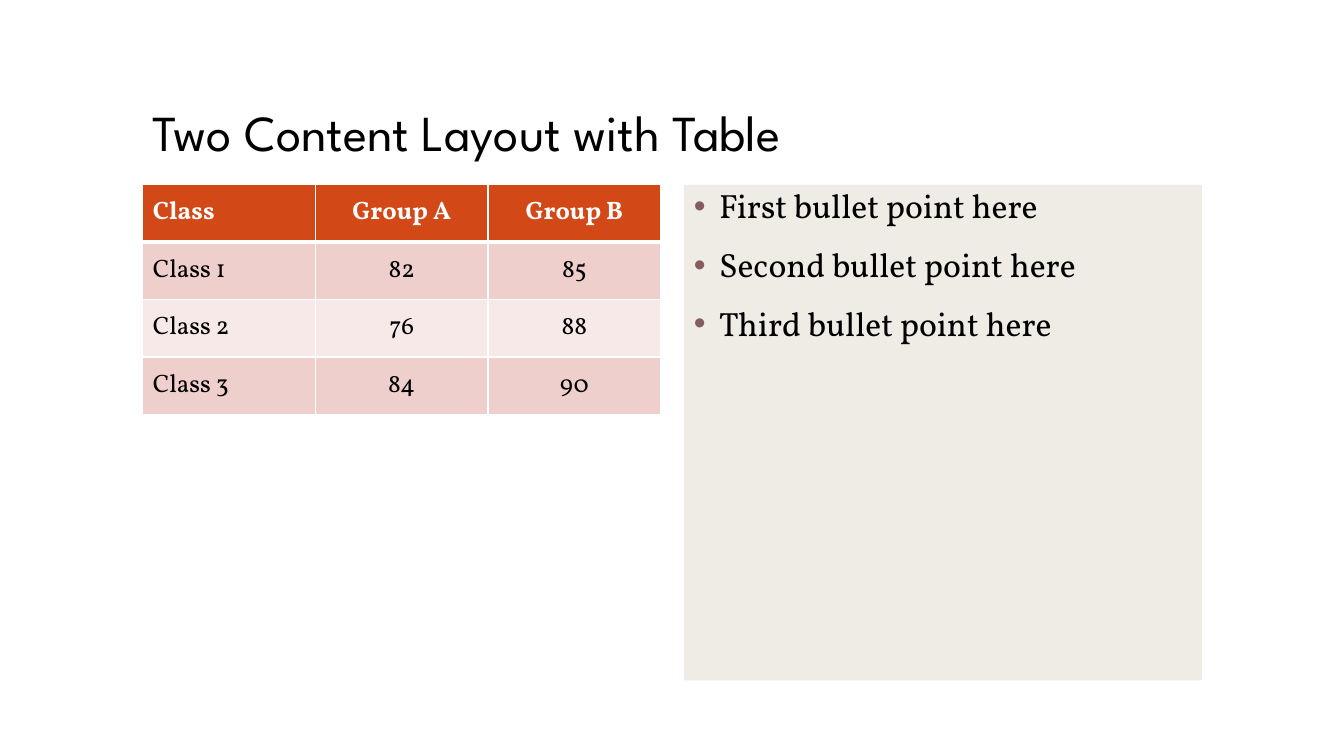
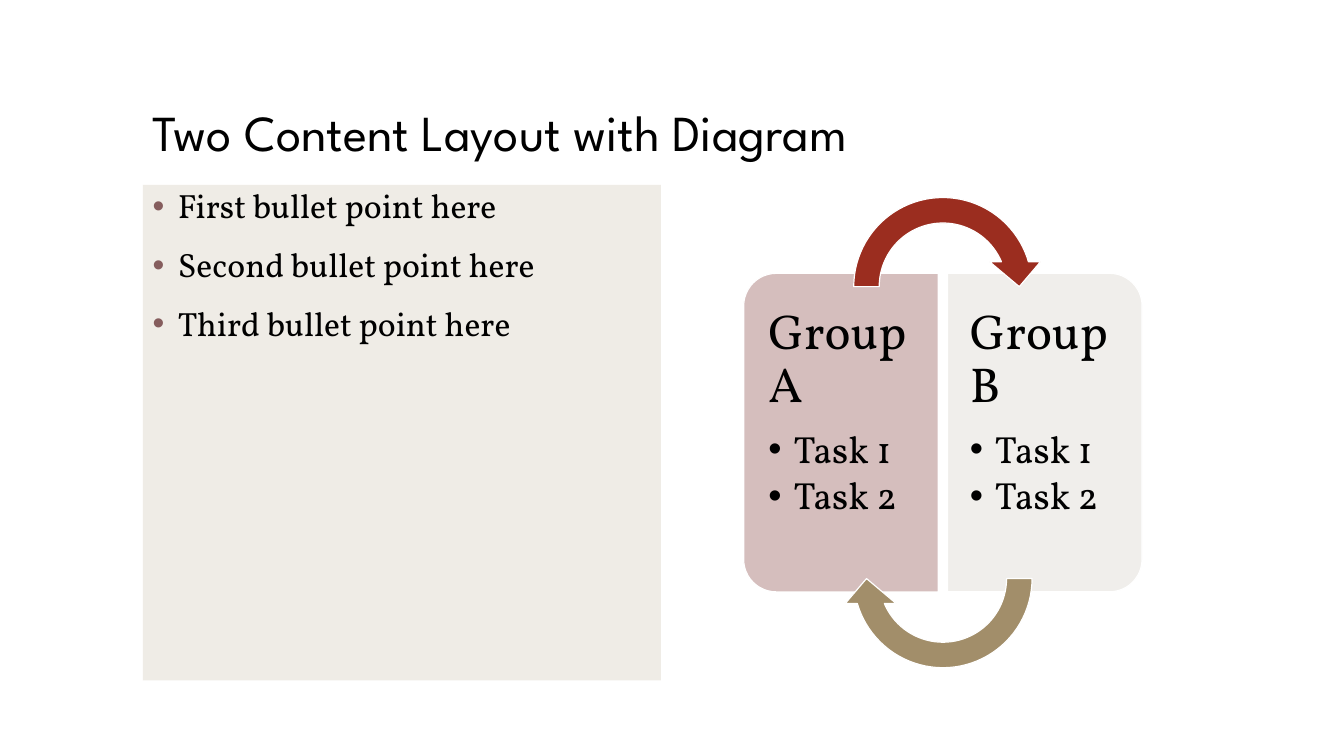
from collections import namedtuple

from lxml.etree import SubElement
from pptx import Presentation
from pptx.dml.color import RGBColor
from pptx.enum.shapes import MSO_SHAPE
from pptx.enum.text import MSO_ANCHOR, PP_ALIGN
from pptx.oxml.ns import qn
from pptx.util import Pt

BLACK = RGBColor(0x00, 0x00, 0x00)
WHITE = RGBColor(0xFF, 0xFF, 0xFF)
ORANGE = RGBColor(0xD3, 0x48, 0x17)
PINK = RGBColor(0xEF, 0xCF, 0xCC)
PALE_PINK = RGBColor(0xF7, 0xE9, 0xE8)
CREAM = RGBColor(0xE9, 0xE5, 0xDC)
MAUVE = RGBColor(0x85, 0x5D, 0x5D)
DUSTY_ROSE = RGBColor(0xD5, 0xBE, 0xBD)
LIGHT_STONE = RGBColor(0xF0, 0xEE, 0xEB)
RED = RGBColor(0x9B, 0x2D, 0x1F)
TAN = RGBColor(0xA2, 0x8E, 0x6A)

TITLE_FONT = "League Spartan"
BODY_FONT = "Vollkorn"

# All lengths are in points.
Box = namedtuple("Box", "left top width height")
TITLE_BOX = Box(102, 29.5, 756, 90)
LEFT_BOX = Box(102, 132, 370, 354)
RIGHT_BOX = LEFT_BOX._replace(left=488.5)

BULLET_POINTS = ["First bullet point here", "Second bullet point here",
                 "Third bullet point here"]
SCORES = [["Class", "Group A", "Group B"],
          ["Class 1", "82", "85"],
          ["Class 2", "76", "88"],
          ["Class 3", "84", "90"]]
TASKS = ["Task 1", "Task 2"]


def in_points(box):
    return [Pt(length) for length in box]


def write_paragraph(frame, text, size, font=BODY_FONT, color=BLACK, bold=False,
                    align=PP_ALIGN.LEFT, line_spacing=0.9, before=0, after=0,
                    bullet_color=None):
    """Fill the frame's empty first paragraph, or add another one."""
    paragraph = frame.paragraphs[0]
    if paragraph.runs:
        paragraph = frame.add_paragraph()
    paragraph.alignment = align
    paragraph.line_spacing = line_spacing
    paragraph.space_before = Pt(before)
    paragraph.space_after = Pt(after)
    run = paragraph.add_run()
    run.text = text
    run.font.name = font
    run.font.size = Pt(size)
    run.font.bold = bold
    run.font.color.rgb = color
    if bullet_color is not None:
        properties = paragraph._p.get_or_add_pPr()
        properties.set("marL", str(Pt(18)))
        properties.set("indent", str(Pt(-18)))
        bullet = SubElement(properties, qn("a:buClr"))
        SubElement(bullet, qn("a:srgbClr"), val=str(bullet_color))
        SubElement(properties, qn("a:buFont"), typeface="Arial")
        SubElement(properties, qn("a:buChar"), char="•")


def add_text_frame(slide, box, anchor=MSO_ANCHOR.TOP, margins=(7.2, 3.6, 7.2, 3.6)):
    frame = slide.shapes.add_textbox(*in_points(box)).text_frame
    frame.word_wrap = True
    frame.vertical_anchor = anchor
    (frame.margin_left, frame.margin_top,
     frame.margin_right, frame.margin_bottom) = in_points(margins)
    return frame


def add_filled_shape(slide, kind, box, fill, outline=None, rotation=0, adjustments=()):
    shape = slide.shapes.add_shape(kind, *in_points(box))
    shape.shadow.inherit = False
    shape.rotation = rotation
    for index, value in enumerate(adjustments):
        shape.adjustments[index] = value
    shape.fill.solid()
    shape.fill.fore_color.rgb = fill
    if outline is None:
        shape.line.fill.background()
    else:
        shape.line.color.rgb = outline
        shape.line.width = Pt(0.85)
    return shape


def add_title_slide(presentation, title):
    """Add a blank slide with the shared title."""
    slide = presentation.slides.add_slide(presentation.slide_layouts[6])
    frame = add_text_frame(slide, TITLE_BOX, anchor=MSO_ANCHOR.BOTTOM)
    write_paragraph(frame, title, 36, font=TITLE_FONT)
    return slide


def add_bullet_panel(slide, box, points):
    panel = add_filled_shape(slide, MSO_SHAPE.RECTANGLE, box, CREAM)
    color = panel.fill._xPr.find(qn("a:solidFill"))[0]
    SubElement(color, qn("a:alpha"), val="70000")
    frame = panel.text_frame
    frame.word_wrap = True
    frame.vertical_anchor = MSO_ANCHOR.TOP
    for point in points:
        write_paragraph(frame, point, 24, before=16, bullet_color=MAUVE)


def set_cell_borders(cell, **widths):
    properties = cell._tc.get_or_add_tcPr()
    for side in "LRTB":
        line = SubElement(properties, qn(f"a:ln{side}"), w=str(Pt(widths.get(side, 1))))
        fill = SubElement(line, qn("a:solidFill"))
        SubElement(fill, qn("a:srgbClr"), val=str(WHITE))


def add_score_table(slide, box, rows, row_height=41):
    column_count = len(rows[0])
    table_box = box._replace(height=row_height * len(rows))
    table = slide.shapes.add_table(len(rows), column_count, *in_points(table_box)).table
    table.horz_banding = False
    table.first_row = False
    for column in table.columns:
        column.width = Pt(box.width / column_count)
    for row_index, row in enumerate(rows):
        table.rows[row_index].height = Pt(row_height)
        is_header = row_index == 0
        fill = ORANGE if is_header else (PALE_PINK, PINK)[row_index % 2]
        for column_index, text in enumerate(row):
            cell = table.cell(row_index, column_index)
            if is_header:
                set_cell_borders(cell, B=3)
            else:
                set_cell_borders(cell, T=3 if row_index == 1 else 1)
            cell.fill.solid()
            cell.fill.fore_color.rgb = fill
            cell.vertical_anchor = MSO_ANCHOR.MIDDLE
            write_paragraph(cell.text_frame, text, 18, line_spacing=1.0,
                            color=WHITE if is_header else BLACK, bold=is_header,
                            align=PP_ALIGN.CENTER if column_index else PP_ALIGN.LEFT)


def add_group_panel(slide, box, name, tasks, fill, is_left):
    """Add a panel rounded on its outer side, with a heading and tasks."""
    # The preset rounds its top, so it is laid out sideways and turned.
    turned = Box(box.left + (box.width - box.height) / 2,
                 box.top + (box.height - box.width) / 2, box.height, box.width)
    add_filled_shape(slide, MSO_SHAPE.ROUND_2_SAME_RECTANGLE, turned, fill, WHITE,
                     rotation=270 if is_left else 90, adjustments=(0.167, 0))
    inset = 6.8
    text_box = Box(box.left + (inset if is_left else 0), box.top + inset,
                   box.width - inset, box.height - 2 * inset)
    outer, inner, vertical = 10.8, 16, 17.5
    left, right = (outer, inner) if is_left else (inner, outer)
    frame = add_text_frame(slide, text_box, margins=(left, vertical, right, vertical))
    write_paragraph(frame, name, 35, after=12.25)
    for task in tasks:
        write_paragraph(frame, task, 27, after=4, bullet_color=BLACK)


def add_group_cycle(slide, box):
    """Add two facing panels joined by an arrow above and one below."""
    panel_width, panel_height, gap = 139, 227.5, 6.5
    pitch = panel_width + gap
    center = box.left + box.width / 2
    panel_top = box.top + (box.height - panel_height) / 2
    panel_left = center - panel_width - gap / 2
    for index, (name, fill) in enumerate([("Group A", DUSTY_ROSE),
                                          ("Group B", LIGHT_STONE)]):
        panel = Box(panel_left + index * pitch, panel_top, panel_width, panel_height)
        add_group_panel(slide, panel, name, TASKS, fill, is_left=index == 0)
    bottom = box.top + box.height - pitch
    for top, fill, rotation in [(box.top, RED, 0), (bottom, TAN, 180)]:
        add_filled_shape(slide, MSO_SHAPE.CIRCULAR_ARROW,
                         Box(center - pitch / 2, top, pitch, pitch), fill, WHITE,
                         rotation=rotation,
                         adjustments=(0.125, 11.42, 204.58, 108, 0.125))


def main():
    presentation = Presentation()
    presentation.slide_width = Pt(960)
    presentation.slide_height = Pt(540)

    table_slide = add_title_slide(presentation, "Two Content Layout with Table")
    add_score_table(table_slide, LEFT_BOX, SCORES)
    add_bullet_panel(table_slide, RIGHT_BOX, BULLET_POINTS)

    cycle_slide = add_title_slide(presentation, "Two Content Layout with Diagram")
    add_bullet_panel(cycle_slide, LEFT_BOX, BULLET_POINTS)
    add_group_cycle(cycle_slide, RIGHT_BOX)

    presentation.save("out.pptx")


if __name__ == "__main__":
    main()
